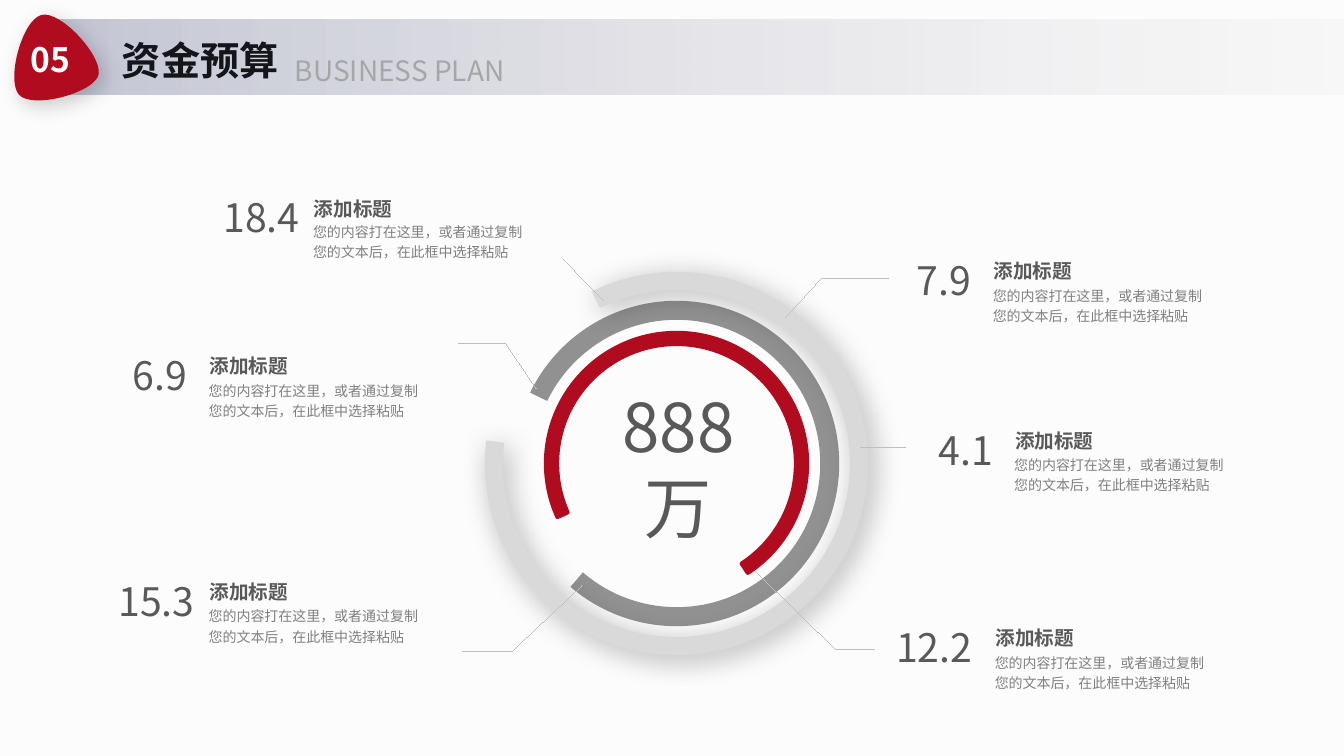
from math import cos, sin, tan, radians
from lxml.etree import SubElement
from pptx import Presentation
from pptx.dml.color import RGBColor as Rgb
from pptx.enum.shapes import MSO_CONNECTOR as Link, MSO_SHAPE as Kind
from pptx.enum.text import MSO_ANCHOR as Anchor, MSO_AUTO_SIZE as Auto, PP_ALIGN as Align
from pptx.oxml.ns import qn
from pptx.util import Cm, Pt

FONT = "Noto Sans CJK SC"
RED, GREY, PALE, DARK, RULE = "B10B1F", "919191", "D9D9D9", "595959", "BFBFBF"
BODY = "您的内容打在这里，或者通过复制您的文本后，在此框中选择粘贴"
HUB = (17.05, 11.68)

RINGS = [
    (3.29, 3.01, 155.8, 416.9, RED),
    (4.1, 3.62, 205.8, 490.7, GREY),
    (4.83, 4.37, 243.8, 546.9, PALE),
]
BENDS = [
    [(19.79, 8.0), (20.7, 7.01), (22.4, 7.01)],
    [(19.05, 14.4), (21.06, 16.36), (22.05, 16.36)],
    [(14.66, 14.76), (12.88, 16.43), (11.66, 16.43)],
    [(13.51, 9.78), (12.75, 8.66), (11.56, 8.66)],
]
LINES = [(21.69, 11.28, 22.81, 11.28), (15.21, 7.57, 14.2, 6.53)]
ITEMS = [
    ("18.4", 6.59, 7.66, 4.55, 0.88),
    ("7.9", 23.79, 24.79, 6.1, 0.93),
    ("4.1", 24.34, 25.33, 10.39, 0.91),
    ("12.2", 23.54, 24.84, 15.34, 0.94),
    ("15.3", 3.94, 5.03, 14.2, 0.91),
    ("6.9", 4.03, 5.03, 8.51, 0.91),
]
DROP = [
    (0.48, 2.39), (0.15, 2.01), (0.56, 0.51), (1.04, 0.38),
    (1.52, 0.25), (2.54, 1.37), (2.49, 1.85),
    (2.46, 2.31), (0.84, 2.77), (0.48, 2.39),
]


def tint(hue):
    return Rgb.from_string(hue)


def text(box, words, size, hue, bold=False, align=Align.LEFT, anchor=Anchor.TOP,
         space=1.0, wrap=True, pad=None):
    frame = box.text_frame
    frame.auto_size = Auto.NONE
    frame.word_wrap = wrap
    frame.vertical_anchor = anchor
    if pad is not None:
        frame.margin_left = frame.margin_right = Cm(pad)
        frame.margin_top = frame.margin_bottom = Cm(pad)
    para = frame.paragraphs[0]
    para.alignment = align
    para.line_spacing = space
    run = para.add_run()
    run.text = words
    font = run.font
    font.size, font.bold, font.name = Pt(size), bold, FONT
    font.color.rgb = tint(hue)
    SubElement(run._r.get_or_add_rPr(), qn("a:ea"), typeface=FONT)


def label(slide, words, x, y, w, h, **form):
    box = slide.shapes.add_textbox(Cm(x), Cm(y), Cm(w), Cm(h))
    text(box, words, **form)


def outline(slide, dots, close):
    spots = [(Cm(x), Cm(y)) for x, y in dots]
    build = slide.shapes.build_freeform(*spots[0], scale=1.0)
    build.add_line_segments(spots[1:], close=close)
    shape = build.convert_to_shape()
    shape.shadow.inherit = False
    return shape


def paint(shape, hue):
    shape.shadow.inherit = False
    shape.fill.solid()
    shape.fill.fore_color.rgb = tint(hue)
    shape.line.fill.background()


def blob(slide, knots, hue):
    shape = outline(slide, knots, True)
    paint(shape, hue)
    legs = list(shape._element.iter(qn("a:lnTo")))
    for i in range(0, len(knots) - 1, 3):
        trio = legs[i:i + 3]
        bow = trio[0].makeelement(qn("a:cubicBezTo"))
        trio[0].addprevious(bow)
        for leg in trio:
            bow.append(leg[0])
            leg.getparent().remove(leg)
    return shape


def stroke(shape, hue, width):
    shape.line.color.rgb = tint(hue)
    shape._element.spPr.find(qn("a:ln")).set("w", str(Pt(width)))


def shade(shape, blur, alpha):
    glow = shape._element.spPr.find(qn("a:effectLst"))
    cast = SubElement(glow, qn("a:outerShdw"), blurRad=str(Pt(blur)), dist=str(Pt(5)),
                      dir=str(45 * 60000), algn="tl", rotWithShape="0")
    ink = SubElement(cast, qn("a:srgbClr"), val="000000")
    SubElement(ink, qn("a:alpha"), val=str(alpha * 1000))


def arc(rad, start, end):
    first = int(start // 90 + 1) * 90
    stops = [start, *range(first, int(end) + 1, 90), end]
    knots = []
    for a, b in zip(map(radians, stops), map(radians, stops[1:])):
        k = 4 / 3 * tan((b - a) / 4)
        knots += [
            (cos(a), sin(a)),
            (cos(a) - k * sin(a), sin(a) + k * cos(a)),
            (cos(b) + k * sin(b), sin(b) - k * cos(b)),
        ]
    knots.append((cos(b), sin(b)))
    return [(HUB[0] + rad * x, HUB[1] + rad * y) for x, y in knots]


def ring(slide, outer, inner, start, end, hue):
    out, back = arc(outer, start, end), arc(inner, start, end)[::-1]
    return blob(slide, out + [out[-1], back[0]] + back, hue)


def bend(slide, dots):
    shape = outline(slide, dots, False)
    shape.fill.background()
    stroke(shape, RULE, 0)


def line(slide, *ends):
    link = slide.shapes.add_connector(Link.STRAIGHT, *map(Cm, ends))
    stroke(link, RULE, 0)
    SubElement(link._element.spPr, qn("a:effectLst"))


def item(slide, value, mid, x, y, gap):
    label(slide, value, mid - 1.25, y + gap - 0.7, 2.5, 1.45, size=28, hue=DARK,
          align=Align.CENTER, anchor=Anchor.MIDDLE, wrap=False)
    label(slide, "添加标题", x, y, 4.14, 1.04, size=14, hue=DARK, bold=True, space=1.5)
    label(slide, BODY, x - 0.02, y + gap, 6.07, 1.27, size=10, hue="808080", space=1.2)


def banner(slide):
    bar = slide.shapes.add_shape(Kind.RECTANGLE, Cm(0.91), Cm(0.49), Cm(32.95), Cm(1.9))
    bar.shadow.inherit = False
    bar.line.fill.background()
    bar.fill.gradient()
    bar.fill.gradient_angle = 0
    for stop, hue in zip(bar.fill.gradient_stops, ("C3C5D4", "E7E5E6")):
        stop.color.rgb = tint(hue)
    last = bar._element.spPr.findall(".//" + qn("a:srgbClr"))[-1]
    SubElement(last, qn("a:alpha"), val="20000")

    label(slide, "BUSINESS PLAN", 7.18, 1.22, 6.02, 1.12, size=20, hue="A6A6A6", wrap=False)
    title = slide.shapes.title
    title.left, title.top, title.width, title.height = Cm(2.82), Cm(0.79), Cm(4.52), Cm(1.45)
    text(title, "资金预算", size=28, hue="141519", bold=True, wrap=False)
    slide.shapes._spTree.append(title._element)

    shade(blob(slide, DROP, RED), 15, 20)
    label(slide, "05", 0.49, 0.86, 1.57, 1.27, size=24, hue="FFFFFF", bold=True,
          align=Align.CENTER, wrap=False)


def main():
    deck = Presentation()
    deck.slide_width, deck.slide_height = Cm(33.87), Cm(19.05)
    slide = deck.slides.add_slide(deck.slide_layouts[5])
    size = deck.slide_width, deck.slide_height
    paint(slide.shapes.add_shape(Kind.RECTANGLE, 0, 0, *size), "FCFCFC")

    red, _, pale = [ring(slide, *spec) for spec in RINGS]
    stroke(red, RED, 3)
    shade(pale, 20, 30)
    for dots in BENDS:
        bend(slide, dots)
    for ends in LINES:
        line(slide, *ends)
    label(slide, "888万", 15.15, 10.72, 3.9, 2.06, size=48, hue=DARK,
          align=Align.CENTER, anchor=Anchor.MIDDLE, pad=0)
    for entry in ITEMS:
        item(slide, *entry)
    banner(slide)
    deck.save("out.pptx")


if __name__ == "__main__":
    main()
